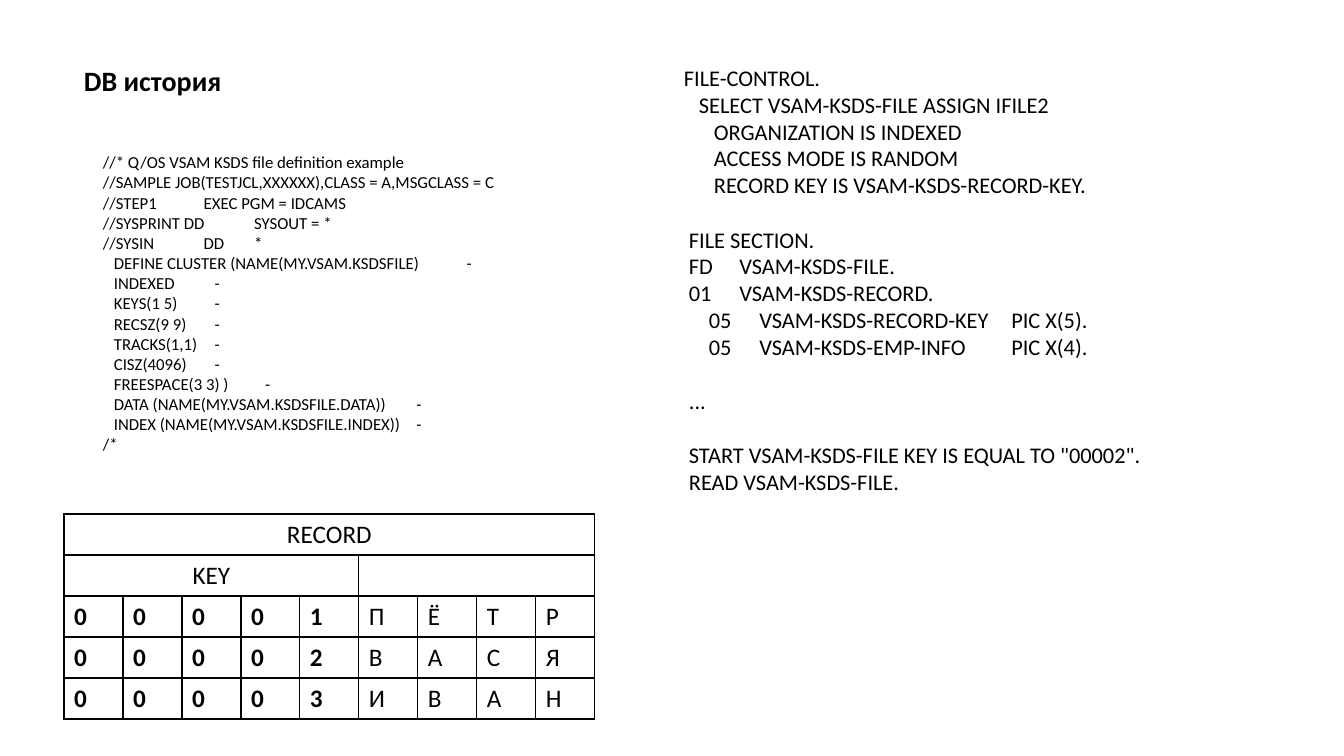
from lxml import etree
from pptx import Presentation
from pptx import util as u
from pptx.dml.color import RGBColor
from pptx.enum import text
from pptx.oxml import ns

PX = 914400 / 100.8
FONT = "Calibri"
BLACK = "000000"
LINE_HEIGHT = 1.22

# Each line: text, indent, tab stops (from the text edge), blank lines before.
JCL = [
    ("//* Q/OS VSAM KSDS file definition example", 0, (), 0),
    ("//SAMPLE JOB(TESTJCL,XXXXXX),CLASS = A,MSGCLASS = C", 0, (), 0),
    ("//STEP1\tEXEC PGM = IDCAMS", 0, (59,), 0),
    ("//SYSPRINT DD\tSYSOUT = *", 0, (106,), 0),
    ("//SYSIN\tDD\t*", 0, (66, 95), 0),
    ("DEFINE CLUSTER (NAME(MY.VSAM.KSDSFILE)\t-", 11, (324,), 0),
    ("INDEXED\t-", 11, (197,), 0),
    ("KEYS(1 5)\t-", 11, (173,), 0),
    ("RECSZ(9 9)\t-", 11, (197,), 0),
    ("TRACKS(1,1)\t-", 11, (205,), 0),
    ("CISZ(4096)\t-", 11, (198,), 0),
    ("FREESPACE(3 3) )\t-", 11, (217,), 0),
    ("DATA (NAME(MY.VSAM.KSDSFILE.DATA))\t-", 11, (306,), 0),
    ("INDEX (NAME(MY.VSAM.KSDSFILE.INDEX))\t-", 11, (313,), 0),
    ("/*", 0, (), 0),
]
COBOL = [
    ("FILE-CONTROL.", 10, (), 0),
    ("SELECT VSAM-KSDS-FILE ASSIGN IFILE2", 25, (), 0),
    ("ORGANIZATION IS INDEXED", 40, (), 0),
    ("ACCESS MODE IS RANDOM", 40, (), 0),
    ("RECORD KEY IS VSAM-KSDS-RECORD-KEY.", 40, (), 0),
    ("FILE SECTION.", 15, (), 1),
    ("FD\tVSAM-KSDS-FILE.", 15, (45,), 0),
    ("01\tVSAM-KSDS-RECORD.", 15, (48,), 0),
    ("05\tVSAM-KSDS-RECORD-KEY\tPIC X(5).", 35, (68, 318), 0),
    ("05\tVSAM-KSDS-EMP-INFO\tPIC X(4).", 35, (68, 305), 0),
    ("...", 15, (), 1),
    ('START VSAM-KSDS-FILE KEY IS EQUAL TO "00002".', 15, (), 1),
    ("READ VSAM-KSDS-FILE.", 15, (), 0),
]
RECORDS = ["00001ПЁТР", "00002ВАСЯ", "00003ИВАН"]
KEY_LENGTH = 5


def px(pixels):
    """Turn pixels into EMU."""
    return u.Emu(round(pixels * PX))


def color(hex_code):
    """Turn a hex string into a colour."""
    return RGBColor.from_string(hex_code)


def style(paragraph, size, bold=False):
    """Set the font of a whole paragraph."""
    font = paragraph.font
    font.name, font.size, font.bold = FONT, u.Pt(size), bold
    font.color.rgb = color(BLACK)


def set_indent(paragraph, indent, tabs):
    """Set the left indent and the tab stops of a paragraph."""
    props = paragraph._p.get_or_add_pPr()
    props.set("marL", str(px(indent)))
    props.set("indent", "0")
    if tabs:
        stops = etree.Element(ns.qn("a:tabLst"))
        for stop in tabs:
            etree.SubElement(stops, ns.qn("a:tab"), pos=str(px(stop)), algn="l")
        props.find(ns.qn("a:defRPr")).addprevious(stops)


def add_lines(slide, box, lines, size, bold=False, wrap=True):
    """Add a text box with one paragraph for each line."""
    frame = slide.shapes.add_textbox(*map(px, box)).text_frame
    frame.word_wrap = wrap
    frame.auto_size = text.MSO_AUTO_SIZE.SHAPE_TO_FIT_TEXT
    for number, (words, indent, tabs, gap) in enumerate(lines):
        paragraph = frame.add_paragraph() if number else frame.paragraphs[0]
        paragraph.text = words
        style(paragraph, size, bold)
        paragraph.space_before = u.Pt(gap * size * LINE_HEIGHT)
        set_indent(paragraph, indent, tabs)


def add_borders(cell):
    """Draw a thin black line on every side of a cell, with no fill."""
    props = cell._tc.get_or_add_tcPr()
    for side in ("lnL", "lnR", "lnT", "lnB"):
        line = etree.SubElement(props, ns.qn(f"a:{side}"), w=str(u.Pt(1)))
        fill = etree.SubElement(line, ns.qn("a:solidFill"))
        etree.SubElement(fill, ns.qn("a:srgbClr"), val=BLACK)
    cell.fill.background()


def add_record_table(slide, left, top, column, row):
    """Add the table of records, with the key in bold."""
    width = len(RECORDS[0])
    height = len(RECORDS) + 2
    table = slide.shapes.add_table(
        height, width, px(left), px(top), px(column * width), px(row * height)
    ).table
    table.first_row = table.horz_banding = False
    table.cell(0, 0).merge(table.cell(0, width - 1))
    table.cell(1, 0).merge(table.cell(1, KEY_LENGTH - 1))
    table.cell(1, KEY_LENGTH).merge(table.cell(1, width - 1))
    for r, words in enumerate([["RECORD"], ["KEY"], *RECORDS]):
        for c in range(width):
            cell = table.cell(r, c)
            add_borders(cell)
            paragraph = cell.text_frame.paragraphs[0]
            if c < len(words):
                paragraph.text = words[c]
            style(paragraph, 18, r > 1 and c < KEY_LENGTH)
            if r < 2:
                paragraph.alignment = text.PP_ALIGN.CENTER


def main():
    """Build the slide and save it."""
    deck = Presentation()
    deck.slide_width, deck.slide_height = px(1344), px(756)
    slide = deck.slides.add_slide(deck.slide_layouts[6])
    title = [("DB история", 0, (), 0)]
    add_lines(slide, (74, 59, 161, 44), title, 20, bold=True, wrap=False)
    add_lines(slide, (93, 147, 557, 336), JCL, 12)
    add_record_table(slide, 64, 514, 59, 41)
    add_lines(slide, (664, 59, 563, 445), COBOL, 16, wrap=False)
    deck.save("out.pptx")


main()
